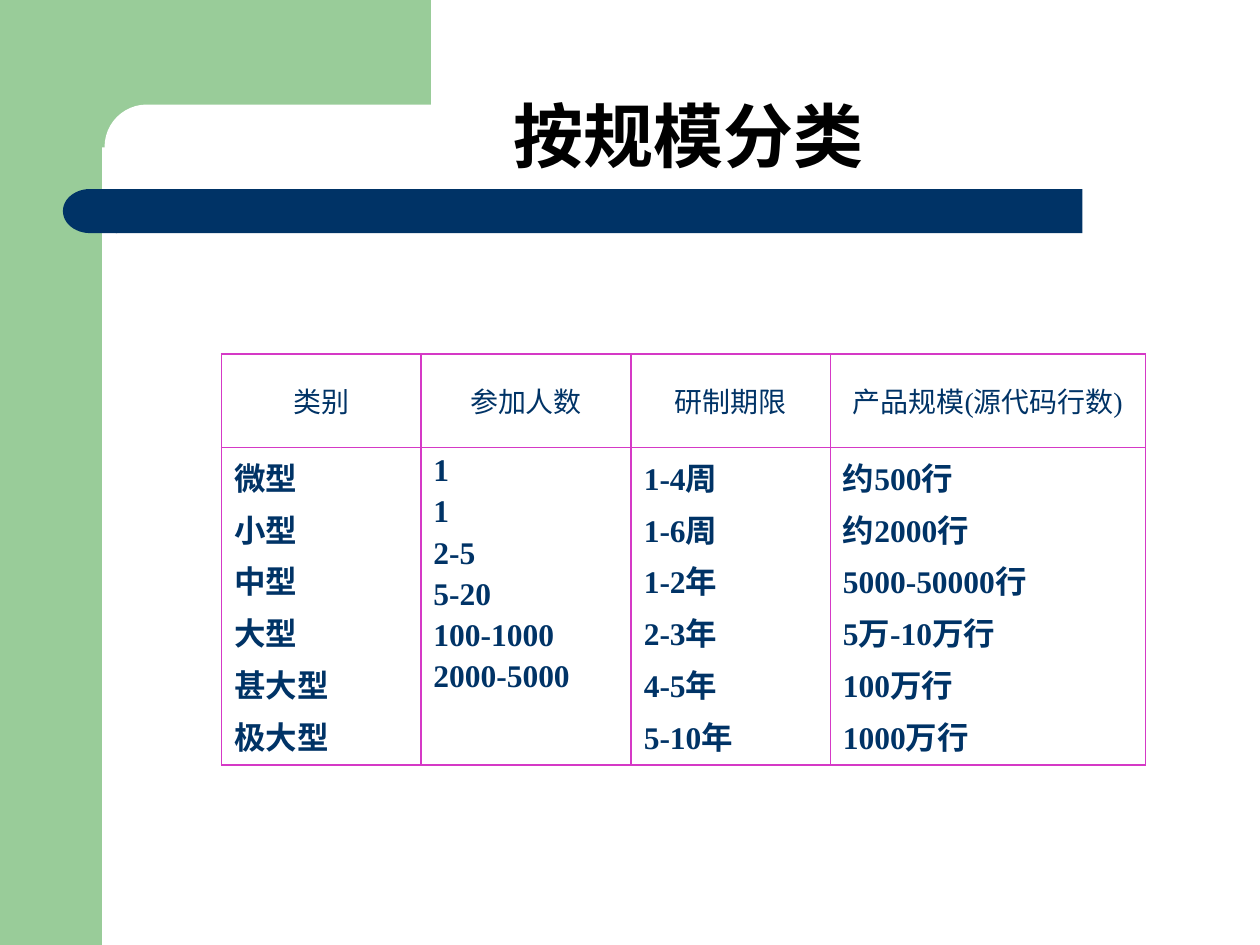
from dataclasses import dataclass

import pptx
import pptx.dml.color
import pptx.enum.shapes
import pptx.enum.text
import pptx.oxml
import pptx.oxml.ns
import pptx.util
from pptx.util import Inches

SHAPES = pptx.enum.shapes.MSO_SHAPE
ALIGN = pptx.enum.text.PP_ALIGN
ANCHOR = pptx.enum.text.MSO_ANCHOR


@dataclass(frozen=True)
class Theme:
    """Colours, fonts and type sizes of the slide."""
    green: str = "99CC99"
    navy: str = "003366"
    white: str = "FFFFFF"
    black: str = "000000"
    border: str = "D539C6"
    title_font: str = "Noto Sans Mono"
    body_font: str = "Times New Roman"
    title_size: int = 40
    header_size: int = 16
    body_size: int = 18


THEME = Theme()

COLUMNS = [
    ("类别", 1.58, ["微型", "小型", "中型", "大型", "甚大型", "极大型"]),
    ("参加人数", 1.67, ["1", "1", "2-5", "5-20", "100-1000", "2000-5000"]),
    ("研制期限", 1.58, ["1-4周", "1-6周", "1-2年", "2-3年", "4-5年", "5-10年"]),
    ("产品规模(源代码行数)", 2.5,
     ["约500行", "约2000行", "5000-50000行", "5万-10万行", "100万行", "1000万行"]),
]


def rgb(value):
    """Return a colour object for a hexadecimal value."""
    return pptx.dml.color.RGBColor.from_string(value)


def set_font(paragraph, name, size, color, bold):
    """Set the font of a whole paragraph."""
    font = paragraph.font
    font.name, font.size, font.bold = name, pptx.util.Pt(size), bold
    font.color.rgb = rgb(color)


def add_block(page, kind, box, color):
    """Add a flat shape without outline or shadow."""
    shape = page.shapes.add_shape(kind, *map(Inches, box))
    shape.shadow.inherit = False
    shape.fill.solid()
    shape.fill.fore_color.rgb = rgb(color)
    shape.line.fill.background()
    return shape


def add_frame(page, box):
    """Add the green corner frame with its rounded inner edge."""
    left, top, width, height = box
    add_block(page, SHAPES.RECTANGLE, (left, top, 0.81, height), THEME.green)
    add_block(page, SHAPES.RECTANGLE, (left + 0.73, top, width - 0.73, 1.17), THEME.green)
    corner = add_block(page, SHAPES.ROUNDED_RECTANGLE,
                       (left + 0.83, top + 0.83, 5.58, 0.67), THEME.white)
    corner.adjustments[0] = 0.5


def add_title_bar(page, box):
    """Add the navy bar with a rounded left end."""
    left, top, width, height = box
    cap = 0.42
    add_block(page, SHAPES.RECTANGLE, (left + cap, top, width - cap, height), THEME.navy)
    end = add_block(page, SHAPES.FLOWCHART_DELAY, (left, top, cap + 0.01, height), THEME.navy)
    end._element.spPr.get_or_add_xfrm().set("flipH", "1")


def add_title(page, box, text):
    """Add the slide title."""
    frame = page.shapes.add_textbox(*map(Inches, box)).text_frame
    frame.word_wrap = True
    paragraph = frame.paragraphs[0]
    paragraph.text = text
    paragraph.line_spacing = 0.9
    set_font(paragraph, THEME.title_font, THEME.title_size, THEME.black, True)


def add_space_before(paragraph, percent):
    """Set the space before a paragraph as a share of its line."""
    namespace = pptx.oxml.ns.nsdecls("a")
    spacing = pptx.oxml.parse_xml(
        f'<a:spcBef {namespace}><a:spcPct val="{percent * 1000}"/></a:spcBef>')
    paragraph._p.get_or_add_pPr().insert(0, spacing)


def style_cell(cell):
    """Give a cell thin borders on all sides and no fill."""
    properties = cell._tc.get_or_add_tcPr()
    namespace = pptx.oxml.ns.nsdecls("a")
    for side in ("lnL", "lnR", "lnT", "lnB"):
        properties.append(pptx.oxml.parse_xml(
            f'<a:{side} {namespace} w="12700"><a:solidFill>'
            f'<a:srgbClr val="{THEME.border}"/></a:solidFill></a:{side}>'))
    cell.fill.background()


def fill_cell(cell, lines, size, bold, alignment):
    """Write one paragraph for each line of a cell."""
    style_cell(cell)
    frame = cell.text_frame
    for index, line in enumerate(lines):
        paragraph = frame.add_paragraph() if index else frame.paragraphs[0]
        paragraph.text = line
        paragraph.alignment = alignment
        if index:
            add_space_before(paragraph, 20)
        set_font(paragraph, THEME.body_font, size, THEME.navy, bold)


def add_size_table(page, box):
    """Add the table of project sizes."""
    table = page.shapes.add_table(2, len(COLUMNS), *map(Inches, box)).table
    table.first_row = table.horz_banding = False
    header_height = 0.5
    table.rows[0].height = Inches(header_height)
    table.rows[1].height = Inches(box[3] - header_height)
    for index, (heading, width, lines) in enumerate(COLUMNS):
        table.columns[index].width = Inches(width)
        header = table.cell(0, index)
        header.vertical_anchor = ANCHOR.MIDDLE
        fill_cell(header, [heading], THEME.header_size, False, ALIGN.CENTER)
        fill_cell(table.cell(1, index), lines, THEME.body_size, True, ALIGN.LEFT)


def main():
    """Build the slide and save the deck."""
    deck = pptx.Presentation()
    deck.slide_width, deck.slide_height = Inches(10), Inches(7.5)
    page = deck.slides.add_slide(deck.slide_layouts[6])
    add_frame(page, (0, 0, 3.42, 7.5))
    add_title_bar(page, (0.5, 1.5, 8.09, 0.35))
    add_size_table(page, (1.76, 2.81, 7.33, 2.83))
    add_title(page, (3.98, 0.76, 3.07, 0.72), "按规模分类")
    deck.save("out.pptx")


if __name__ == "__main__":
    main()
